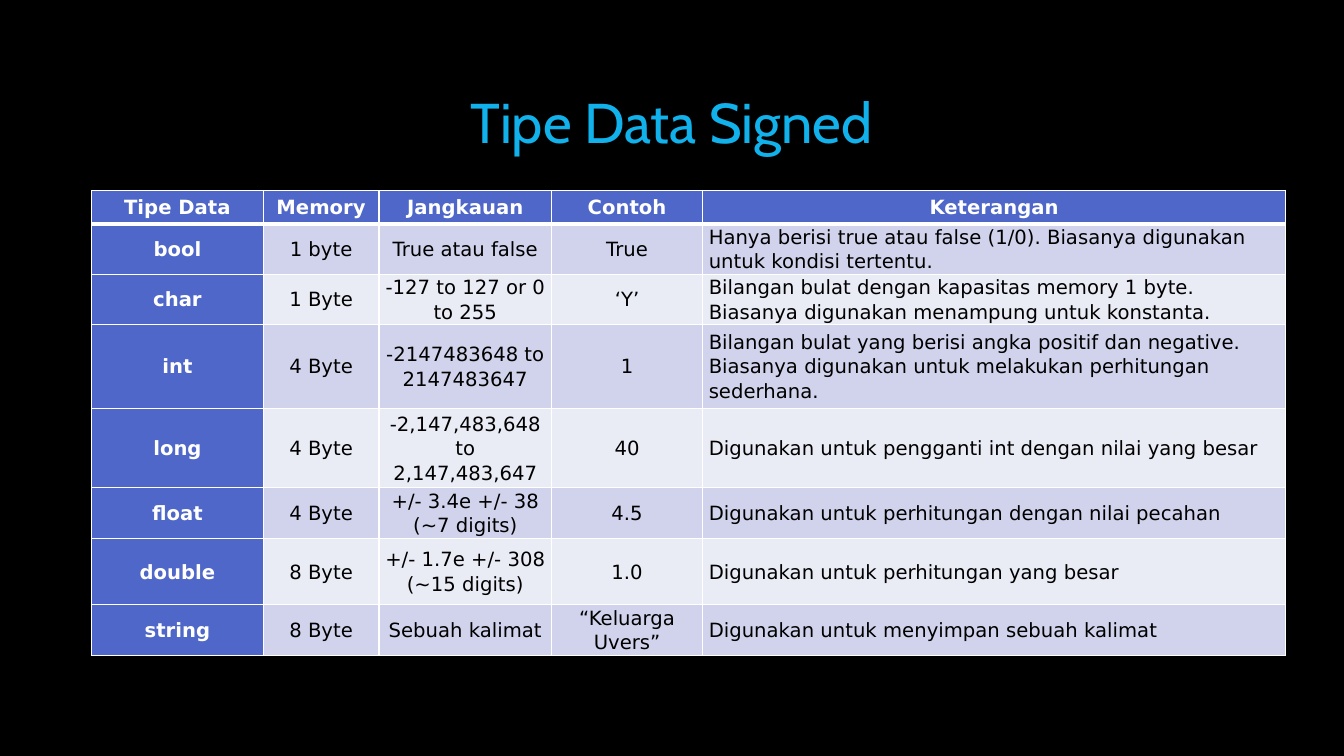
from dataclasses import dataclass

from lxml.etree import SubElement
from pptx import Presentation
from pptx.dml.color import RGBColor
from pptx.enum.text import MSO_ANCHOR, PP_ALIGN
from pptx.oxml import parse_xml
from pptx.oxml.ns import nsdecls, qn
from pptx.slide import Slide
from pptx.table import _Cell
from pptx.text.text import TextFrame, _Run
from pptx.util import Inches, Pt


@dataclass(frozen=True)
class Theme:
    """Colours, fonts and type sizes of the slide."""

    background: str = "000000"
    title: str = "11B2EB"
    outline: str = "404040"
    accent: str = "4E67C8"
    bands: tuple[str, str] = ("D0D3EB", "E9EBF5")
    light: str = "FFFFFF"
    dark: str = "000000"
    title_font: str = "Cabin"
    body_font: str = "DejaVu Sans"
    title_size: float = 40
    body_size: float = 14


@dataclass(frozen=True)
class DataType:
    """One row of the data type table."""

    name: str
    memory: str
    span: str
    example: str
    remark: str
    height: float

    def texts(self) -> tuple[str, ...]:
        """Return the cell texts from left to right."""
        return self.name, self.memory, self.span, self.example, self.remark


THEME = Theme()
COLUMN_WIDTHS = (1.7, 1.15, 1.71, 1.5, 5.78)
ROWS = (
    DataType("Tipe Data", "Memory", "Jangkauan", "Contoh", "Keterangan", 0.33),
    DataType("bool", "1 byte", "True atau false", "True",
             "Hanya berisi true atau false (1/0). Biasanya digunakan untuk kondisi tertentu.", 0.5),
    DataType("char", "1 Byte", "-127 to 127 or 0 to 255", "‘Y’",
             "Bilangan bulat dengan kapasitas memory 1 byte. "
             "Biasanya digunakan menampung untuk konstanta.", 0.5),
    DataType("int", "4 Byte", "-2147483648 to 2147483647", "1",
             "Bilangan bulat yang berisi angka positif dan negative. "
             "Biasanya digunakan untuk melakukan perhitungan sederhana.", 0.83),
    DataType("long", "4 Byte", "-2,147,483,648 to 2,147,483,647", "40",
             "Digunakan untuk pengganti int dengan nilai yang besar", 0.79),
    DataType("float", "4 Byte", "+/- 3.4e +/- 38 (~7 digits)", "4.5",
             "Digunakan untuk perhitungan dengan nilai pecahan", 0.5),
    DataType("double", "8 Byte", "+/- 1.7e +/- 308 (~15 digits)", "1.0",
             "Digunakan untuk perhitungan yang besar", 0.66),
    DataType("string", "8 Byte", "Sebuah kalimat", "“Keluarga Uvers”",
             "Digunakan untuk menyimpan sebuah kalimat", 0.33),
)


def write_text(frame: TextFrame, text: str, *, font: str, size: float, color: str,
               bold: bool = False, align: PP_ALIGN = PP_ALIGN.CENTER,
               line_spacing: float = 1.0, space_after: float = 0) -> _Run:
    """Write one formatted paragraph and return its span."""
    para = frame.paragraphs[0]
    para.alignment = align
    para.line_spacing = line_spacing
    para.space_after = Pt(space_after)
    span = para.add_run()
    span.text = text
    span.font.name = font
    span.font.size = Pt(size)
    span.font.bold = bold
    span.font.color.rgb = RGBColor.from_string(color)
    return span


def add_outline(span: _Run) -> None:
    """Give the letters a thin, faint outline."""
    line = parse_xml(
        f'<a:ln {nsdecls("a")} w="{Pt(0.75)}"><a:solidFill><a:srgbClr val="{THEME.outline}">'
        '<a:alpha val="10000"/></a:srgbClr></a:solidFill></a:ln>')
    span.font._element.insert(0, line)


def add_title(page: Slide, text: str) -> None:
    """Add the slide title."""
    box = page.shapes.add_textbox(Inches(1), Inches(0.67), Inches(11.32), Inches(1.06))
    box.text_frame.word_wrap = True
    box.text_frame.vertical_anchor = MSO_ANCHOR.MIDDLE
    span = write_text(box.text_frame, text, font=THEME.title_font,
                      size=THEME.title_size, color=THEME.title)
    add_outline(span)


def set_borders(cell: _Cell, *, top: float, bottom: float) -> None:
    """Draw light borders of the given widths around a cell."""
    properties = cell._tc.get_or_add_tcPr()
    for side, width in (("L", 1), ("R", 1), ("T", top), ("B", bottom)):
        line = SubElement(properties, qn(f"a:ln{side}"), w=str(Pt(width)))
        fill = SubElement(line, qn("a:solidFill"))
        SubElement(fill, qn("a:srgbClr"), val=THEME.light)


def fill_cell(cell: _Cell, text: str, row: int, column: int) -> None:
    """Format one table cell by its place and write its text."""
    heading = row == 0 or column == 0
    remark = row > 0 and column == len(COLUMN_WIDTHS) - 1
    cell.margin_left = cell.margin_right = Inches(0.06)
    cell.margin_top = cell.margin_bottom = Inches(0)
    cell.vertical_anchor = MSO_ANCHOR.MIDDLE
    set_borders(cell, top=3 if row == 1 else 1, bottom=3 if row == 0 else 1)
    cell.fill.solid()
    band = THEME.bands[(row - 1) % 2]
    cell.fill.fore_color.rgb = RGBColor.from_string(THEME.accent if heading else band)
    write_text(cell.text_frame, text, font=THEME.body_font, size=THEME.body_size,
               color=THEME.light if heading else THEME.dark, bold=heading,
               align=PP_ALIGN.LEFT if remark else PP_ALIGN.CENTER,
               line_spacing=1.07, space_after=8)


def add_type_table(page: Slide) -> None:
    """Add the table of data types."""
    height = sum(entry.height for entry in ROWS)
    table = page.shapes.add_table(
        len(ROWS), len(COLUMN_WIDTHS), Inches(0.91), Inches(1.89),
        Inches(sum(COLUMN_WIDTHS)), Inches(height)).table
    for column, width in zip(table.columns, COLUMN_WIDTHS):
        column.width = Inches(width)
    for row, entry in enumerate(ROWS):
        table.rows[row].height = Inches(entry.height)
        for column, text in enumerate(entry.texts()):
            fill_cell(table.cell(row, column), text, row, column)


def main() -> None:
    """Build and save the deck."""
    deck = Presentation()
    deck.slide_width = Inches(13.33)
    deck.slide_height = Inches(7.5)
    page = deck.slides.add_slide(deck.slide_layouts[6])
    page.background.fill.solid()
    page.background.fill.fore_color.rgb = RGBColor.from_string(THEME.background)
    add_title(page, "Tipe Data Signed")
    add_type_table(page)
    deck.save("out.pptx")


if __name__ == "__main__":
    main()
